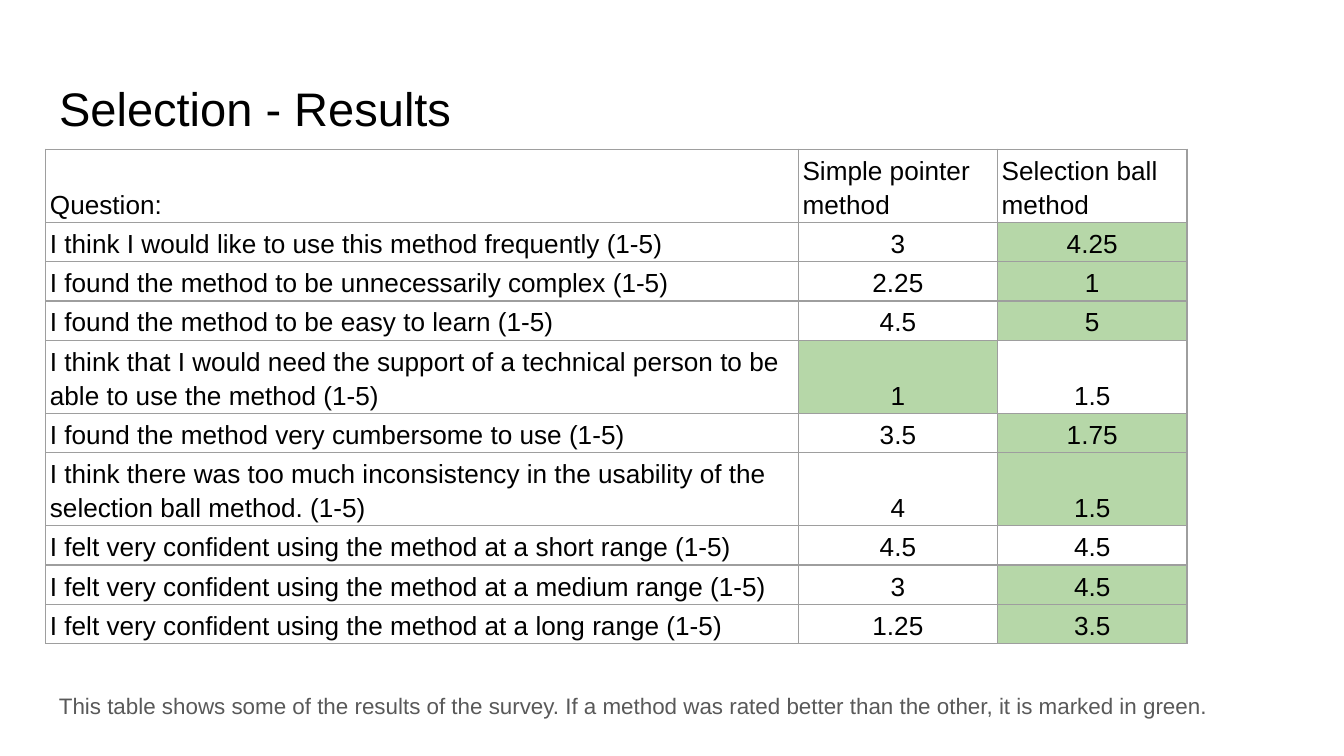
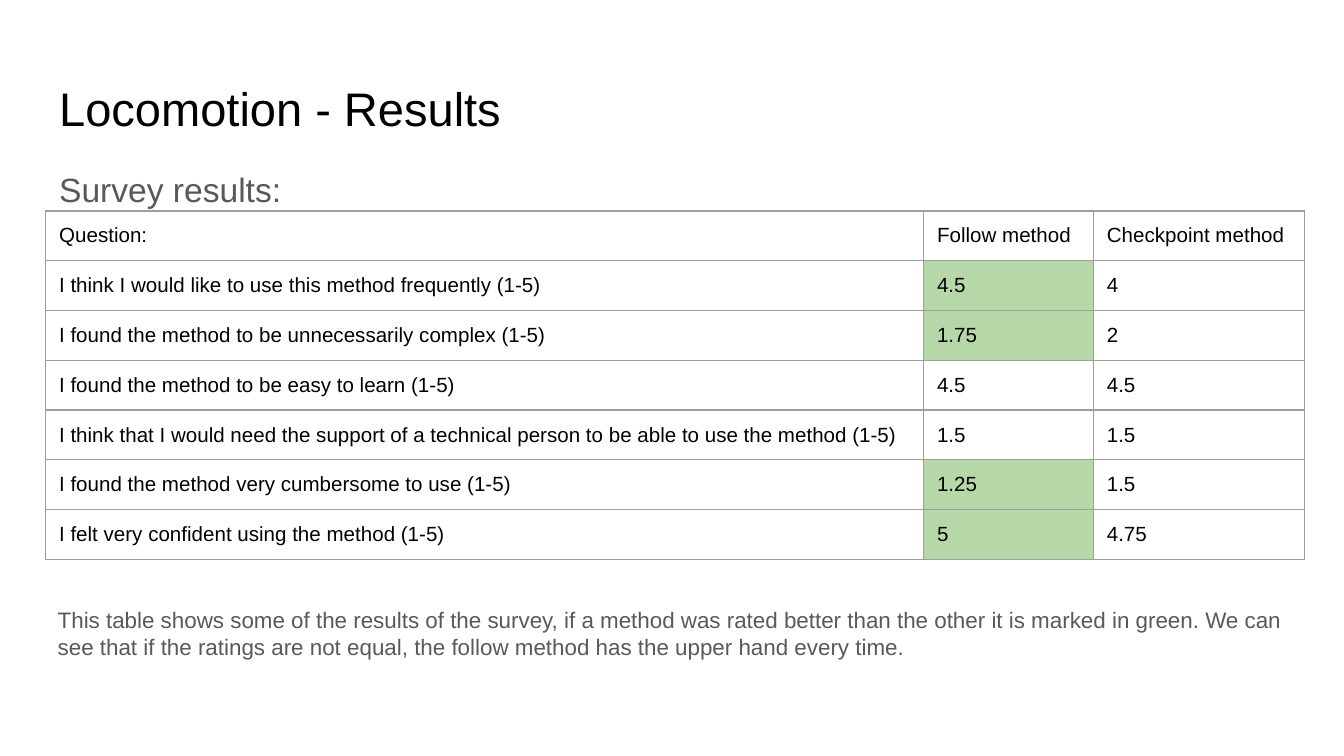
"""Build two survey result slides, each with a titled table and a note."""
import dataclasses

import lxml.etree
import pptx
import pptx.dml.color
import pptx.enum.text
import pptx.oxml.ns
import pptx.util

Pt = pptx.util.Pt
RGB = pptx.dml.color.RGBColor.from_string
ALIGN = pptx.enum.text.PP_ALIGN
ANCHOR = pptx.enum.text.MSO_ANCHOR
FIT = pptx.enum.text.MSO_AUTO_SIZE
qn = pptx.oxml.ns.qn


@dataclasses.dataclass(frozen=True)
class Theme:
    """Colours, font and type sizes of the slides."""
    font: str = "Arial"
    ink: str = "000000"
    muted: str = "595959"
    rule: str = "9E9E9E"
    better: str = "B6D7A8"
    title: float = 25.2
    body: float = 18
    note: float = 12
    rule_width: float = 0.75


T = Theme()
LEFT, WIDTH = 24.5, 671
TITLE_BOX = (LEFT, 35, WIDTH, 45)
HIGH, LOW = max, min

SELECTION = {
    "head": ("Question:", "Simple pointer method", "Selection ball method"),
    "rows": [
        ("I think I would like to use this method frequently (1-5)", 3, 4.25, HIGH),
        ("I found the method to be unnecessarily complex (1-5)", 2.25, 1, LOW),
        ("I found the method to be easy to learn (1-5)", 4.5, 5, HIGH),
        ("I think that I would need the support of a technical person to be able to use the method (1-5)",
         1, 1.5, LOW),
        ("I found the method very cumbersome to use (1-5)", 3.5, 1.75, LOW),
        ("I think there was too much inconsistency in the usability of the selection ball method. (1-5)",
         4, 1.5, LOW),
        ("I felt very confident using the method at a short range (1-5)", 4.5, 4.5, HIGH),
        ("I felt very confident using the method at a medium range (1-5)", 3, 4.5, HIGH),
        ("I felt very confident using the method at a long range (1-5)", 1.25, 3.5, HIGH),
    ],
    "cols": (403.2, 106.7, 101.5),
    "heights": [39 if i in (0, 4, 6) else 21 for i in range(10)],
    "size": 14,
    "spacing": 1.15,
    "values": ALIGN.CENTER,
    "cell": {"margin_left": Pt(2.25), "margin_right": Pt(2.25), "margin_top": Pt(1.5),
             "margin_bottom": Pt(1.5), "vertical_anchor": ANCHOR.BOTTOM},
}

LOCOMOTION = {
    "head": ("Question:", "Follow method", "Checkpoint method"),
    "rows": [
        ("I think I would like to use this method frequently (1-5)", 4.5, 4, HIGH),
        ("I found the method to be unnecessarily complex (1-5)", 1.75, 2, LOW),
        ("I found the method to be easy to learn (1-5)", 4.5, 4.5, HIGH),
        ("I think that I would need the support of a technical person to be able to use the method (1-5)",
         1.5, 1.5, LOW),
        ("I found the method very cumbersome to use (1-5)", 1.25, 1.5, LOW),
        ("I felt very confident using the method (1-5)", 5, 4.75, HIGH),
    ],
    "cols": (470.3, 91, 113),
    "heights": [26.6] * 7,
    "size": 11,
    "spacing": 1.0,
    "values": ALIGN.LEFT,
    "cell": {"margin_left": Pt(7.2), "margin_right": Pt(7.2), "margin_top": Pt(7.2),
             "margin_bottom": Pt(7.2), "vertical_anchor": ANCHOR.TOP},
}


def apply(obj, formats):
    """Set each format value on the object."""
    for name, value in formats.items():
        setattr(obj, name, value)


def write(tf, text, size, color, align=ALIGN.LEFT, spacing=1.0):
    """Write one formatted paragraph into a text frame."""
    p = tf.paragraphs[0]
    apply(p, {"alignment": align, "line_spacing": spacing, "space_before": Pt(0)})
    r = p.add_run()
    r.text = text
    apply(r.font, {"name": T.font, "size": Pt(size), "bold": False})
    r.font.color.rgb = RGB(color)
    return p


def place(sp, box, anchor=ANCHOR.TOP, fit=FIT.NONE):
    """Set the box and frame of a text shape and return its text frame."""
    apply(sp, dict(zip(("left", "top", "width", "height"), map(Pt, box))))
    tf = sp.text_frame
    apply(tf, {"word_wrap": True, "auto_size": fit, "vertical_anchor": anchor})
    apply(tf, {"margin_" + side: Pt(7.2) for side in ("left", "top", "right", "bottom")})
    return tf


def add_title(s, box, text):
    """Fill the title placeholder."""
    write(place(s.shapes.title, box, ANCHOR.BOTTOM), text, T.title, T.ink)


def add_body(s, box, text):
    """Fill the body placeholder with an unbulleted line."""
    p = write(place(s.placeholders[1], box), text, T.body, T.muted, spacing=1.15)
    pPr = p._p.get_or_add_pPr()
    apply_attrs = {"marL": "0", "indent": "0"}
    for name, value in apply_attrs.items():
        pPr.set(name, value)
    lxml.etree.SubElement(pPr, qn("a:buNone"))


def add_note(s, box, text):
    """Add the explanatory note."""
    sp = s.shapes.add_textbox(*map(Pt, box))
    write(place(sp, box, fit=FIT.SHAPE_TO_FIT_TEXT), text, T.note, T.muted)


def add_borders(cell):
    """Draw a thin rule on all four sides of a cell."""
    tcPr = cell._tc.get_or_add_tcPr()
    for i, side in enumerate(("L", "R", "T", "B")):
        ln = lxml.etree.Element(qn("a:ln" + side), w=str(Pt(T.rule_width)))
        fill = lxml.etree.SubElement(ln, qn("a:solidFill"))
        lxml.etree.SubElement(fill, qn("a:srgbClr"), val=T.rule)
        tcPr.insert(i, ln)


def add_survey(s, left, top, survey):
    """Add a survey table whose better rating in each row is green."""
    cols, heights = survey["cols"], survey["heights"]
    table = s.shapes.add_table(len(heights), len(cols), Pt(left), Pt(top),
                               Pt(sum(cols)), Pt(sum(heights))).table
    apply(table, {"first_row": False, "horz_banding": False})
    for col, width in zip(table.columns, cols):
        col.width = Pt(width)
    for row, height in zip(table.rows, heights):
        row.height = Pt(height)
    lines = [(survey["head"], None)]
    for question, a, b, best in survey["rows"]:
        lines.append(((question, a, b), best(a, b) if a != b else None))
    for row, (values, winner) in zip(table.rows, lines):
        for cell, value in zip(row.cells, values):
            is_text = isinstance(value, str)
            apply(cell, survey["cell"])
            write(cell.text_frame, value if is_text else f"{value:g}", survey["size"], T.ink,
                  ALIGN.LEFT if is_text else survey["values"], survey["spacing"])
            if winner is not None and value == winner:
                cell.fill.solid()
                cell.fill.fore_color.rgb = RGB(T.better)
            else:
                cell.fill.background()
            add_borders(cell)


def selection_slide(prs):
    """Build the slide on selection methods."""
    s = prs.slides.add_slide(prs.slide_layouts[5])
    add_title(s, TITLE_BOX, "Selection - Results")
    add_survey(s, LEFT, 80, SELECTION)
    add_note(s, (LEFT, 363.6, 659.5, 28.8),
             "This table shows some of the results of the survey. If a method was rated "
             "better than the other, it is marked in green.")


def locomotion_slide(prs):
    """Build the slide on locomotion methods."""
    s = prs.slides.add_slide(prs.slide_layouts[1])
    add_title(s, TITLE_BOX, "Locomotion - Results")
    add_body(s, (LEFT, 80, WIDTH, 175), "Survey results:")
    add_survey(s, LEFT, 113, LOCOMOTION)
    add_note(s, (23.8, 317.5, 675.4, 44),
             "This table shows some of the results of the survey, if a method was rated "
             "better than the other it is marked in green. We can see that if the ratings "
             "are not equal, the follow method has the upper hand every time.")


def main():
    """Build and save the presentation."""
    prs = pptx.Presentation()
    apply(prs, {"slide_width": Pt(720), "slide_height": Pt(405)})
    selection_slide(prs)
    locomotion_slide(prs)
    prs.save("out.pptx")


main()
